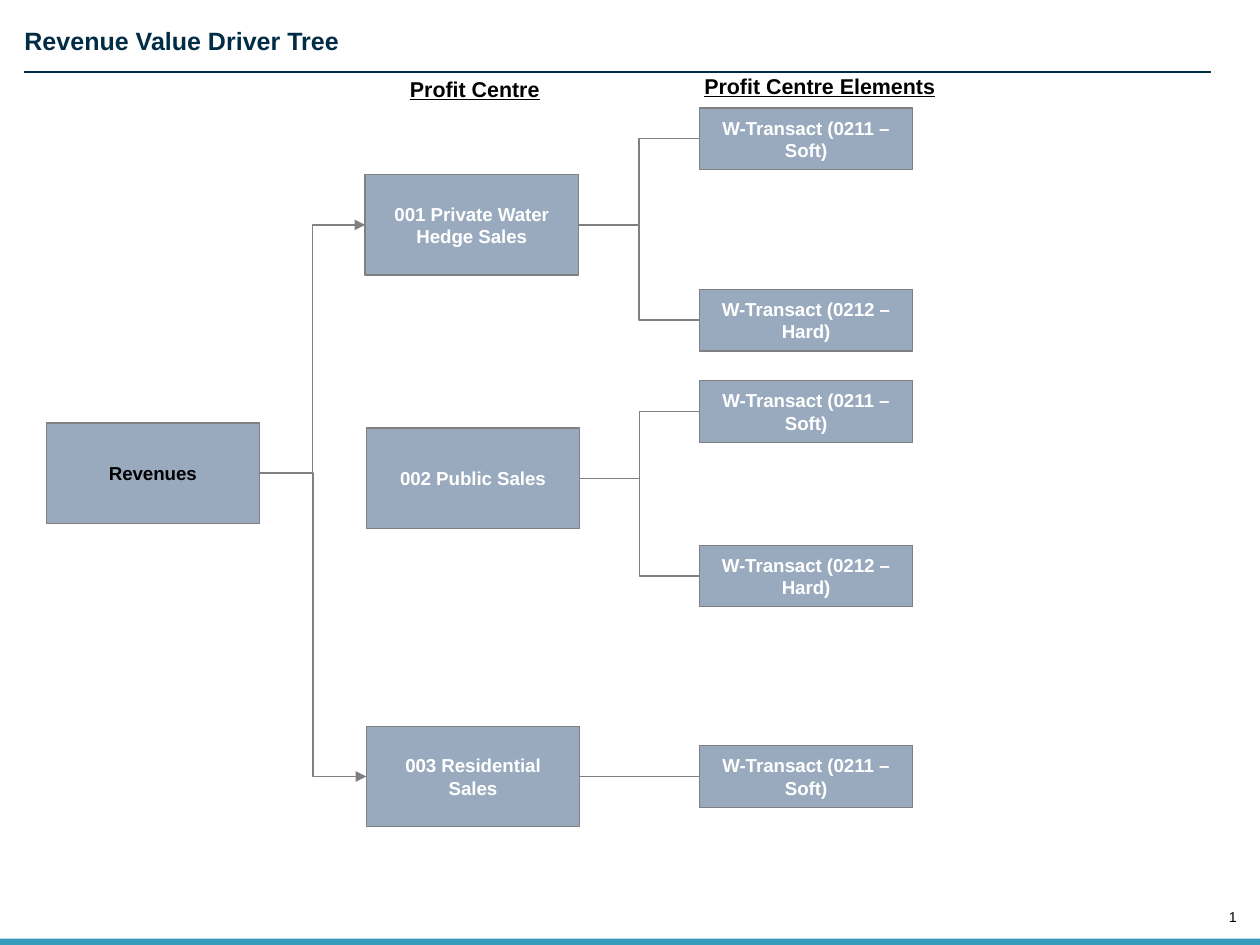
from dataclasses import dataclass

import pptx
import pptx.dml.color
import pptx.enum.shapes
import pptx.enum.text
import pptx.oxml
import pptx.oxml.ns
import pptx.util

ALIGN = pptx.enum.text.PP_ALIGN
ANCHOR = pptx.enum.text.MSO_ANCHOR
CONNECTOR = pptx.enum.shapes.MSO_CONNECTOR
RECTANGLE = pptx.enum.shapes.MSO_SHAPE.RECTANGLE
RIGHT_SITE, LEFT_SITE = 3, 1


@dataclass(frozen=True)
class Theme:
    font: str = "Arial"
    navy: str = "002C46"
    band: str = "379BBD"
    box: str = "99AABE"
    line: str = "808080"
    black: str = "000000"
    white: str = "FFFFFF"
    title: float = 14
    heading: float = 12
    body: float = 10.5
    number: float = 8
    stroke: float = 0.75


@dataclass(frozen=True)
class Area:
    col: float
    row: float
    cols: float
    rows: float


@dataclass(frozen=True)
class Label:
    text: str
    area: Area
    size: float
    color: str
    bold: bool = True
    underline: bool = False
    align: ALIGN = ALIGN.LEFT
    anchor: ANCHOR = ANCHOR.TOP
    inset: bool = False


@dataclass(frozen=True)
class Node:
    text: str
    col: float
    row: float
    children: tuple["Node", ...] = ()
    rows: float = 7.8
    color: str = Theme.white
    linked: bool = True
    arrow: bool = False


COLS, ROWS = 98, 73.5
NODE_COLS, ELEMENT_ROWS = 16.6, 4.8
ROOT_COL, CENTRE_COL, ELEMENT_COL = 3.6, 28.5, 54.4
theme = Theme()

prs = pptx.Presentation()
prs.slide_width, prs.slide_height = pptx.util.Inches(9.8), pptx.util.Inches(7.35)
s = prs.slides.add_slide(prs.slide_layouts[6])


def x(col: float) -> int:
    return round(prs.slide_width * col / COLS)


def y(row: float) -> int:
    return round(prs.slide_height * row / ROWS)


def frame(a: Area) -> tuple[int, int, int, int]:
    return x(a.col), y(a.row), x(a.cols), y(a.rows)


def rgb(color: str) -> pptx.dml.color.RGBColor:
    return pptx.dml.color.RGBColor.from_string(color)


def write(sp, label: Label) -> None:
    tf = sp.text_frame
    layout = {"word_wrap": True, "vertical_anchor": label.anchor}
    if not label.inset:
        layout |= dict.fromkeys(
            ("margin_left", "margin_top", "margin_right", "margin_bottom"), 0)
    for name, value in layout.items():
        setattr(tf, name, value)
    p = tf.paragraphs[0]
    p.alignment = label.align
    r = p.add_run()
    r.text = label.text
    style = {"name": theme.font, "size": pptx.util.Pt(label.size),
             "bold": label.bold, "underline": label.underline}
    for name, value in style.items():
        setattr(r.font, name, value)
    r.font.color.rgb = rgb(label.color)


def add_label(label: Label) -> None:
    write(s.shapes.add_textbox(*frame(label.area)), label)


def add_rectangle(area: Area, fill: str):
    sp = s.shapes.add_shape(RECTANGLE, *frame(area))
    sp.shadow.inherit = False
    sp.fill.solid()
    sp.fill.fore_color.rgb = rgb(fill)
    sp.line.fill.background()
    return sp


def set_line(sp, color: str) -> None:
    sp.line.color.rgb = rgb(color)
    sp.line.width = pptx.util.Pt(theme.stroke)


def add_line(kind: CONNECTOR, color: str, ends: tuple[int, int, int, int]):
    sp = s.shapes.add_connector(kind, *ends)
    set_line(sp, color)
    pptx.oxml.ns.qn("a:effectLst")
    sp._element.spPr.append(effect_list())
    return sp


def effect_list():
    return pptx.oxml.parse_xml(
        f"<a:effectLst {pptx.oxml.ns.nsdecls('a')}/>")


def connect(parent, child, arrow: bool) -> None:
    start = parent.top + parent.height // 2
    end = child.top + child.height // 2
    level = abs(start - end) < y(0.1)
    kind = CONNECTOR.STRAIGHT if level else CONNECTOR.ELBOW
    sp = add_line(kind, theme.line,
                  (parent.left + parent.width, start, child.left, end))
    sp.begin_connect(parent, RIGHT_SITE)
    sp.end_connect(child, LEFT_SITE)
    if arrow:
        sp.line._get_or_add_ln().append(pptx.oxml.parse_xml(
            f"<a:tailEnd {pptx.oxml.ns.nsdecls('a')} type='triangle'/>"))


def add_node(node: Node):
    area = Area(node.col, node.row, NODE_COLS, node.rows)
    sp = add_rectangle(area, theme.box)
    set_line(sp, theme.line)
    write(sp, Label(node.text, area, theme.body, node.color,
                    align=ALIGN.CENTER, anchor=ANCHOR.MIDDLE, inset=True))
    for child in node.children:
        child_sp = add_node(child)
        if child.linked:
            connect(sp, child_sp, child.arrow)
    return sp


def element(kind: str, row: float) -> Node:
    return Node(f"W-Transact ({kind})", ELEMENT_COL, row, rows=ELEMENT_ROWS)


SOFT, HARD = "0211 – Soft", "0212 – Hard"
tree = Node("Revenues", ROOT_COL, 32.9, color=theme.black, children=(
    Node("001 Private Water Hedge Sales", CENTRE_COL - 0.1, 13.6, arrow=True,
         children=(element(SOFT, 8.4), element(HARD, 22.5))),
    Node("002 Public Sales", CENTRE_COL, 33.3, linked=False,
         children=(element(SOFT, 29.6), element(HARD, 42.4))),
    Node("003 Residential Sales", CENTRE_COL, 56.5, arrow=True,
         children=(element(SOFT, 58),)),
))
labels = (
    Label("Revenue Value Driver Tree", Area(1.9, 2, 95.6, 2.4),
          theme.title, theme.navy),
    Label("Profit Centre", Area(30.9, 5.4, 19.6, 3), theme.heading,
          theme.black, underline=True, inset=True),
    Label("Profit Centre Elements", Area(53.8, 5.2, 21.9, 3), theme.heading,
          theme.black, underline=True, inset=True),
    Label("1", Area(94.8, 70.7, 1.4, 1.3), theme.number, theme.black,
          bold=False, align=ALIGN.RIGHT, anchor=ANCHOR.BOTTOM),
)

add_rectangle(Area(0, 73, COLS, 0.5), theme.band)
add_line(CONNECTOR.STRAIGHT, theme.navy, (x(1.9), y(5.6), x(94.2), y(5.6)))
add_node(tree)
for label in labels:
    add_label(label)

prs.save("out.pptx")
